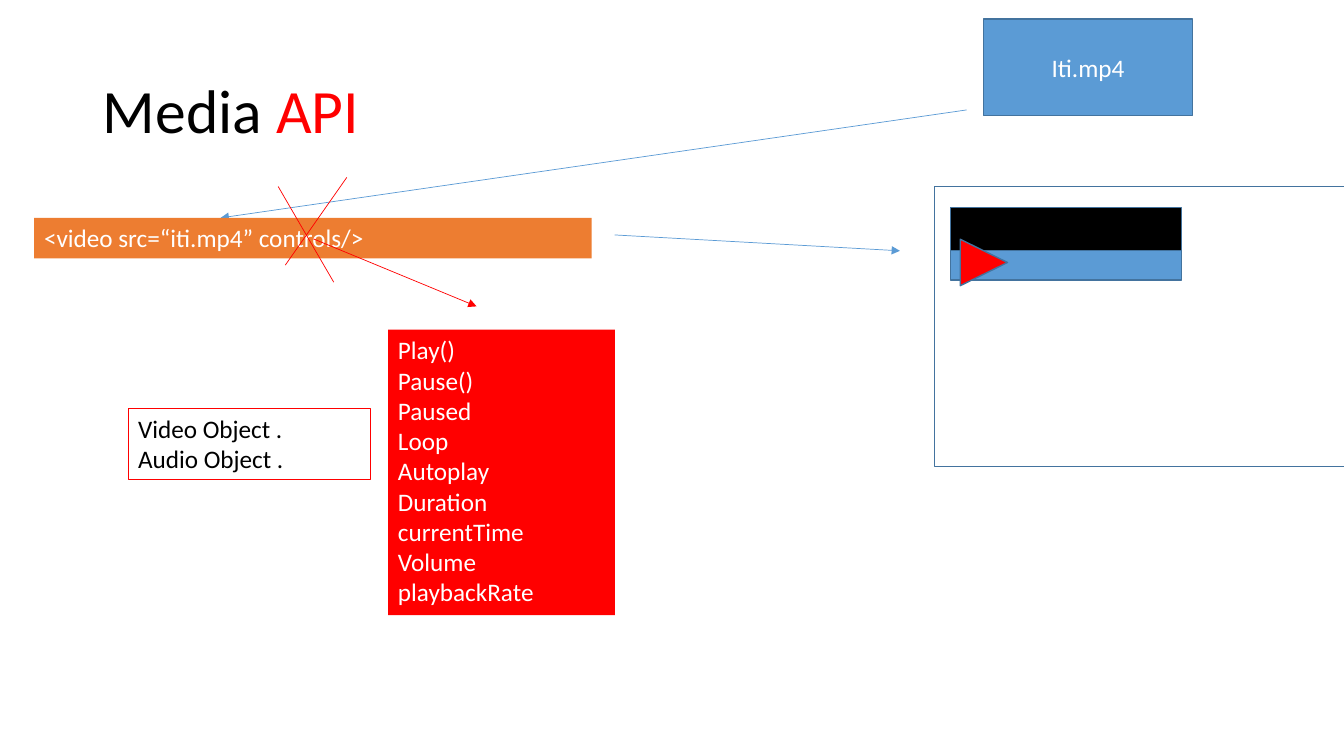
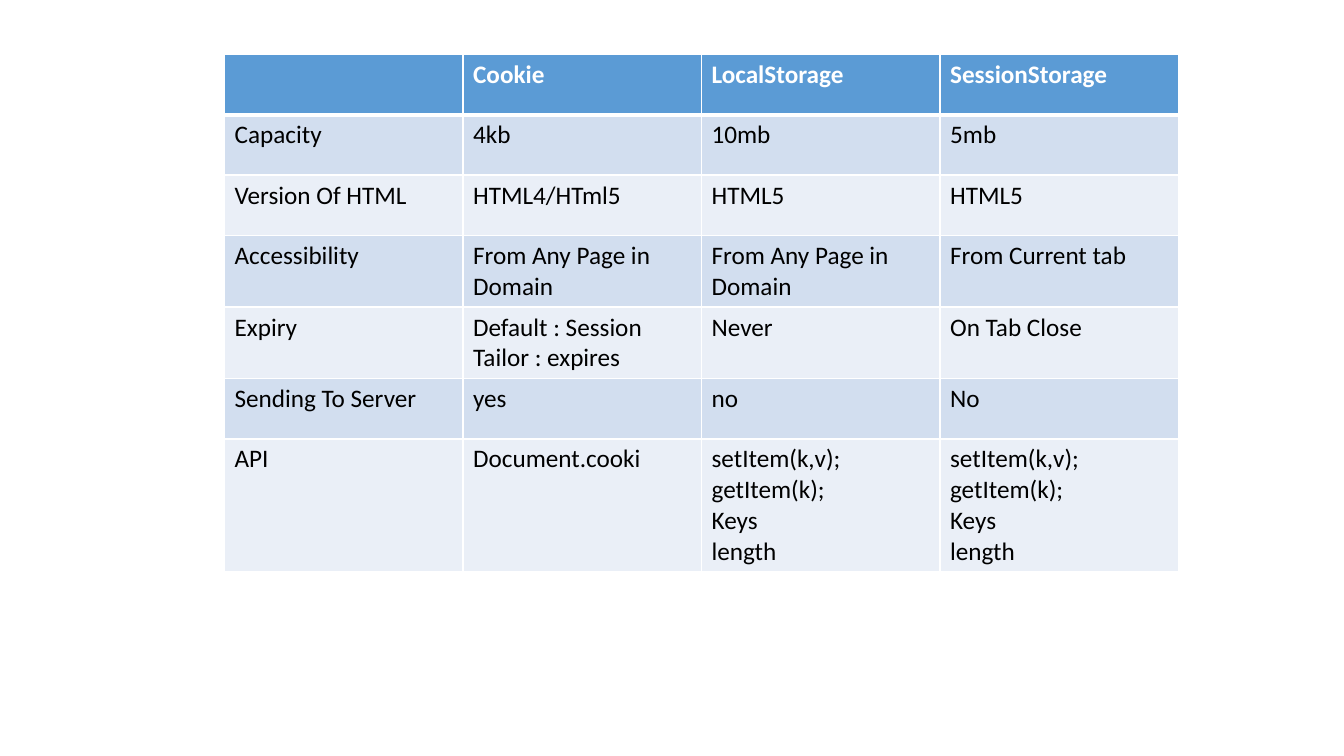
"""Build two slides: the media API sketch and the browser storage comparison."""
from lxml import etree
from pptx import Presentation
from pptx.dml.color import RGBColor
from pptx.enum.shapes import MSO_CONNECTOR, MSO_SHAPE
from pptx.enum.text import MSO_ANCHOR as ANCHOR, PP_ALIGN as ALIGN
from pptx.oxml.ns import qn
from pptx.util import Cm, Pt

FONT = "Calibri"
WHITE = RGBColor(0xFF, 0xFF, 0xFF)
BLACK = RGBColor(0x00, 0x00, 0x00)
RED = RGBColor(0xFF, 0x00, 0x00)
BLUE = RGBColor(0x5B, 0x9B, 0xD5)
DARK_BLUE = RGBColor(0x43, 0x73, 0x9E)
ORANGE = RGBColor(0xED, 0x7D, 0x31)
BANDS = (RGBColor(0xEA, 0xEF, 0xF7), RGBColor(0xD2, 0xDE, 0xEF))

MEMBERS = ["Play()", "Pause()", "Paused", "Loop", "Autoplay", "Duration",
           "currentTime", "Volume", "playbackRate"]
STORAGE_API = "setItem(k,v);\ngetItem(k);\nKeys\nlength"
STORAGE_ROWS = [
    ["", "Cookie", "LocalStorage", "SessionStorage"],
    ["Capacity", "4kb", "10mb", "5mb"],
    ["Version Of HTML", "HTML4/HTml5", "HTML5", "HTML5"],
    ["Accessibility", "From Any Page in Domain", "From Any Page in Domain",
     "From Current tab"],
    ["Expiry", "Default : Session\nTailor : expires", "Never", "On Tab Close"],
    ["Sending To Server", "yes", "no", "No"],
    ["API", "Document.cooki", STORAGE_API, STORAGE_API],
]


def write(tf, text, color, align=ALIGN.LEFT, bold=False):
    """Fill a text frame with one paragraph per line of text."""
    tf.text = text
    for p in tf.paragraphs:
        p.alignment = align
        p.font.name, p.font.size, p.font.bold = FONT, Pt(18), bold
        p.font.color.rgb = color


def add_title(s, parts):
    """Place the title placeholder and write its coloured runs."""
    sp = s.shapes.title
    sp.left, sp.top, sp.width, sp.height = Cm(2.34), Cm(1.02), Cm(29.21), Cm(3.68)
    tf = sp.text_frame
    tf.vertical_anchor = ANCHOR.MIDDLE
    p = tf.paragraphs[0]
    p.alignment, p.line_spacing = ALIGN.LEFT, 0.9
    p.font.name, p.font.size = FONT, Pt(44)
    for text, color in parts:
        r = p.add_run()
        r.text = text
        r.font.color.rgb = color


def add_box(s, box, fill=None, line=None, weight=1, kind=MSO_SHAPE.RECTANGLE):
    """Add a preset shape with an optional fill and outline."""
    sp = s.shapes.add_shape(kind, *map(Cm, box))
    sp.shadow.inherit = False
    if fill is None:
        sp.fill.background()
    else:
        sp.fill.solid()
        sp.fill.fore_color.rgb = fill
    if line is None:
        sp.line.fill.background()
    else:
        sp.line.color.rgb = line
        sp.line.width = Pt(weight)
    return sp


def add_label(s, box, text, color, fill=None, line=None, anchor=ANCHOR.TOP,
              align=ALIGN.LEFT, weight=0.75):
    """Add a rectangle that carries text."""
    tf = add_box(s, box, fill, line, weight).text_frame
    tf.word_wrap = True
    tf.vertical_anchor = anchor
    write(tf, text, color, align)


def add_line(s, start, end, color, arrow=False):
    """Add a thin straight line, with an arrowhead at its end if asked."""
    line = s.shapes.add_connector(MSO_CONNECTOR.STRAIGHT, *map(Cm, start + end))
    line.line.color.rgb = color
    line.line.width = Pt(0.5)
    if arrow:
        etree.SubElement(line.line._get_or_add_ln(), qn("a:tailEnd"), type="triangle")
    etree.SubElement(line._element.spPr, qn("a:effectLst"))


def set_borders(cell, widths):
    """Draw white cell borders, given widths in points by side."""
    tc_pr = cell._tc.get_or_add_tcPr()
    for i, (side, width) in enumerate(widths.items()):
        ln = etree.Element(qn(f"a:ln{side}"), w=str(Pt(width)))
        fill = etree.SubElement(ln, qn("a:solidFill"))
        etree.SubElement(fill, qn("a:srgbClr"), val=str(WHITE))
        tc_pr.insert(i, ln)


def add_table(s, rows, left, top, col_width, row_height):
    """Add a banded table with a header row."""
    n_rows, n_cols = len(rows), len(rows[0])
    table = s.shapes.add_table(n_rows, n_cols, Cm(left), Cm(top),
                               Cm(col_width * n_cols), Cm(row_height * n_rows)).table
    for i, row in enumerate(rows):
        header = i == 0
        for j, text in enumerate(row):
            cell = table.cell(i, j)
            write(cell.text_frame, text, WHITE if header else BLACK, bold=header)
            cell.fill.solid()
            cell.fill.fore_color.rgb = BLUE if header else BANDS[i % 2]
            set_borders(cell, {"L": 1, "R": 1, "T": 3 if i == 1 else 1,
                               "B": 3 if header else 1})


def build_media_slide(prs):
    """Show how a video tag turns into a player and a scriptable object."""
    s = prs.slides.add_slide(prs.slide_layouts[5])
    add_title(s, [("Media ", BLACK), ("API", RED)])
    add_label(s, (24.79, 0.48, 5.26, 2.44), "Iti.mp4", WHITE, BLUE, DARK_BLUE,
              ANCHOR.MIDDLE, ALIGN.CENTER, weight=1)
    add_line(s, (24.36, 2.77), (5.56, 5.49), BLUE, arrow=True)
    add_label(s, (0.86, 5.49, 14.05, 1.02),
              "<video src=\u201citi.mp4\u201d controls/>", WHITE, ORANGE)
    add_line(s, (15.49, 5.92), (22.68, 6.32), BLUE, arrow=True)

    add_box(s, (23.55, 4.7, 11.2, 7.06), line=DARK_BLUE)
    add_box(s, (23.95, 5.23, 5.82, 1.8), BLACK, DARK_BLUE)
    add_box(s, (23.95, 6.32, 5.82, 0.74), BLUE, DARK_BLUE)
    play = add_box(s, (24.21, 6.02, 1.17, 1.19), RED, DARK_BLUE,
                   kind=MSO_SHAPE.ISOSCELES_TRIANGLE)
    play.rotation = 90

    add_line(s, (7.9, 6.02), (12.01, 7.72), RED, arrow=True)
    add_line(s, (8.74, 4.47), (7.19, 6.68), RED)
    add_line(s, (7.01, 4.7), (8.41, 7.11), RED)
    add_label(s, (9.78, 8.31, 5.72, 7.19), "\n".join(MEMBERS), WHITE, RED)
    add_label(s, (3.23, 10.29, 6.12, 1.8), "Video Object .\nAudio Object .",
              BLACK, line=RED)


def build_storage_slide(prs):
    """Compare the ways a browser stores data."""
    s = prs.slides.add_slide(prs.slide_layouts[6])
    add_table(s, STORAGE_ROWS, 5.66, 1.37, 6.01, 1.52)


def main():
    """Build and save the presentation."""
    prs = Presentation()
    prs.slide_width, prs.slide_height = Cm(33.87), Cm(19.05)
    build_media_slide(prs)
    build_storage_slide(prs)
    prs.save("out.pptx")


main()
